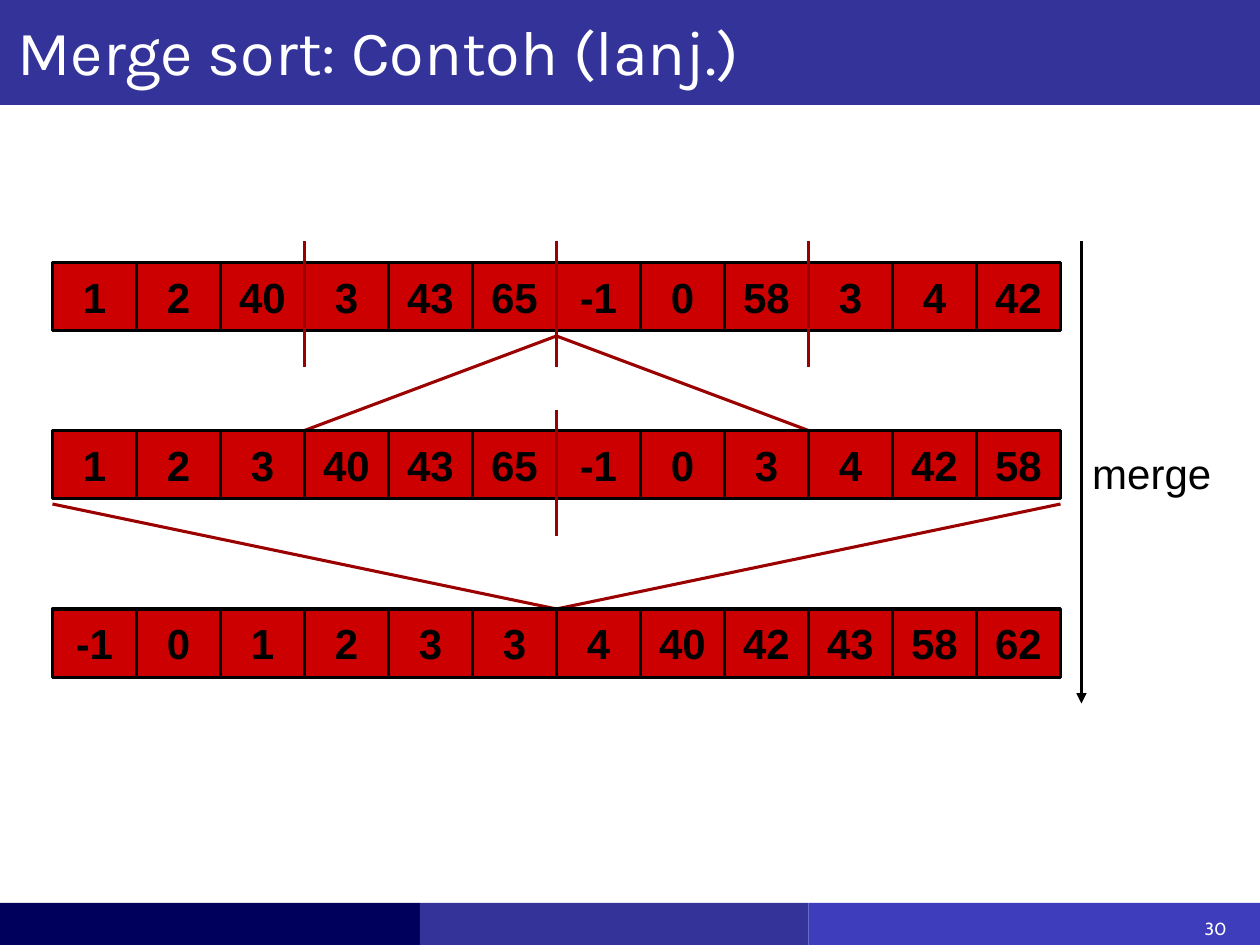
from lxml.etree import SubElement
from pptx import Presentation
from pptx.dml.color import RGBColor
from pptx.enum.shapes import MSO_CONNECTOR, MSO_SHAPE
from pptx.enum.text import MSO_ANCHOR, PP_ALIGN
from pptx.oxml.ns import qn
from pptx.util import Inches, Pt

COLORS = {
    "band": "333399", "navy": "00005C", "violet": "3E3EBC", "white": "FFFFFF",
    "cell": "CC0000", "split": "9A0000", "black": "000000",
}
COLUMNS, ROWS = 120, 90
CELL_WIDTH, CELL_HEIGHT = 8, 6.5
LINE_WIDTH = Pt(1.75)
LEVELS = [
    (25, [1, 2, 40, 3, 43, 65, -1, 0, 58, 3, 4, 42], [3, 6, 9]),
    (41, [1, 2, 3, 40, 43, 65, -1, 0, 3, 4, 42, 58], [6]),
    (58, [-1, 0, 1, 2, 3, 3, 4, 40, 42, 43, 58, 62], []),
]


def grid(*units):
    """Convert grid columns or rows to lengths."""
    return [Inches(unit / 12) for unit in units]


def color(name):
    """Return a palette colour."""
    return RGBColor.from_string(COLORS[name])


def write(shape, text, size, font, ink, bold=False, align=PP_ALIGN.LEFT,
          anchor=MSO_ANCHOR.TOP, wrap=False):
    """Write one styled run into a shape."""
    frame = shape.text_frame
    frame.word_wrap = wrap
    frame.vertical_anchor = anchor
    para = frame.paragraphs[0]
    para.alignment = align
    span = para.add_run()
    span.text = text
    span.font.size = Pt(size)
    span.font.name = font
    span.font.bold = bold
    span.font.color.rgb = color(ink)


def add_block(page, box, fill, outline=None):
    """Add a filled rectangle with an optional outline."""
    block = page.shapes.add_shape(MSO_SHAPE.RECTANGLE, *grid(*box))
    block.shadow.inherit = False
    block.fill.solid()
    block.fill.fore_color.rgb = color(fill)
    if outline:
        block.line.color.rgb = color(outline)
        block.line.width = LINE_WIDTH
    else:
        block.line.fill.background()
    return block


def add_line(page, start, end, ink="split", arrow=False):
    """Draw a straight line, with an arrowhead at its end if asked."""
    line = page.shapes.add_connector(MSO_CONNECTOR.STRAIGHT, *grid(*start, *end))
    line.line.color.rgb = color(ink)
    line.line.width = LINE_WIDTH
    if arrow:
        SubElement(line.line._get_or_add_ln(), qn("a:tailEnd"), type="triangle")
    SubElement(line._element.spPr, qn("a:effectLst"))


def add_title(page, box, text):
    """Place the title band and its text."""
    left, top, width, height = box
    add_block(page, box, "band")
    title = page.shapes.add_textbox(
        *grid(left + 0.5, top + 0.6, width - 0.5, height - 1.6))
    write(title, text, 36, "Karla", "white", anchor=MSO_ANCHOR.BOTTOM, wrap=True)


def add_footer(page, box, number):
    """Place the three footer blocks and the page number."""
    left, top, width, height = box
    for fill, share in (("navy", 40), ("band", 37), ("violet", 43)):
        block_width = width * share / COLUMNS
        add_block(page, (left, top, block_width, height), fill)
        left += block_width
    label = page.shapes.add_textbox(*grid(left - 8, top + 0.8, 6, 3.5))
    write(label, number, 10, "Cabin", "white", align=PP_ALIGN.RIGHT, wrap=True)


def add_array(page, box, values, splits):
    """Place a row of number cells and the lines that split it."""
    left, top, width, height = box
    step = width / len(values)
    for index, value in enumerate(values):
        cell = add_block(page, (left + index * step, top, step, height),
                         "cell", "black")
        write(cell, str(value), 24, "Arial", "black", bold=True,
              align=PP_ALIGN.CENTER, anchor=MSO_ANCHOR.MIDDLE)
    for split in splits:
        x = left + split * step
        add_line(page, (x, top - 2), (x, top + 10))


def add_bracket(page, box, peak_at_top):
    """Draw two slanted lines that meet at the middle of the box."""
    left, top, width, height = box
    peak, foot = (top, top + height) if peak_at_top else (top + height, top)
    for x in (left, left + width):
        add_line(page, (x, foot), (left + width / 2, peak))


def add_merge_arrow(page, box):
    """Place the downward arrow and its label."""
    left, top, width, height = box
    add_line(page, (left, top), (left, top + height), "black", arrow=True)
    label = page.shapes.add_textbox(*grid(left - 0.16, top + 19, width, 6))
    write(label, "merge", 24, "Arial", "black")


def add_merge_diagram(page, box):
    """Place the arrays, the brackets between them and the arrow."""
    left, top, width, height = box
    add_bracket(page, (left + width / 4, 32, width / 2, 9), True)
    add_bracket(page, (left, 48, width, 10), False)
    for row, values, splits in LEVELS:
        add_array(page, (left, row, width, CELL_HEIGHT), values, splits)
    add_merge_arrow(page, (left + width + 2, top, 13.7, height))


def main():
    """Build and save the deck."""
    deck = Presentation()
    deck.slide_width, deck.slide_height = grid(COLUMNS, ROWS)
    page = deck.slides.add_slide(deck.slide_layouts[6])
    add_footer(page, (0, 86, COLUMNS, 4), "30")
    add_title(page, (0, 0, COLUMNS, 10), "Merge sort: Contoh (lanj.)")
    add_merge_diagram(page, (5, 23, 12 * CELL_WIDTH, 44))
    deck.save("out.pptx")


if __name__ == "__main__":
    main()
